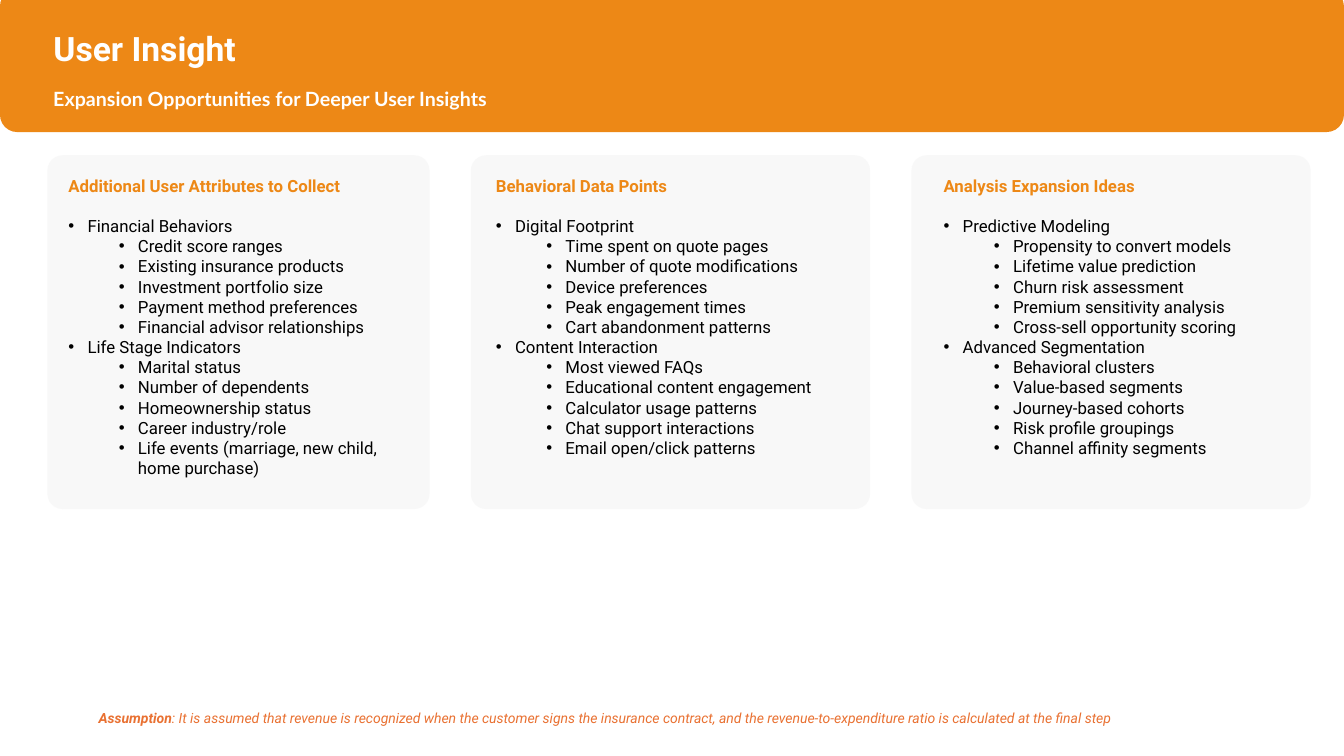
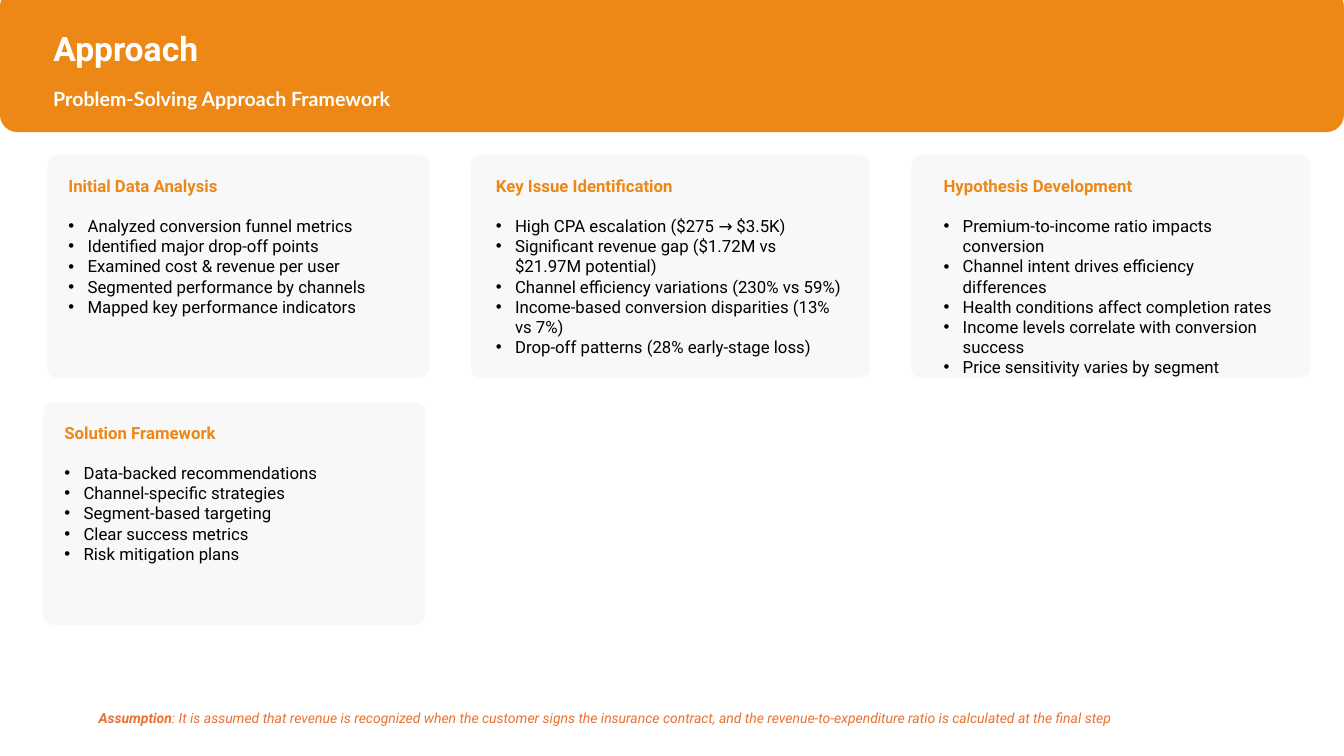
from pptx import Presentation
from pptx.dml.color import RGBColor
from pptx.enum.shapes import MSO_SHAPE
from pptx.enum.text import MSO_ANCHOR, MSO_AUTO_SIZE, PP_ALIGN
from pptx.oxml.ns import qn
from pptx.util import Inches, Pt
from lxml.etree import SubElement

COLORS = {"brand": "ED8816", "note": "E97132", "card": "F2F2F2",
          "body": "000000", "light": "FFFFFF"}
WIDTH, HEIGHT = 13.33, 7.5
TITLE_LEFT = 0.43

# Each column: card left, card width, text inset, text width
COLUMNS = [(0.47, 3.79, 0.11, 3.52), (4.67, 3.96, 0.15, 3.66), (9.04, 3.96, 0.22, 3.52)]
CARD_TOP, ROW_PITCH, TEXT_DROP = 1.54, 2.45, 0.15
LOWER_ROW_SHIFT = -0.04
HANGING, LEVEL_STEP = 0.19, 0.5

NOTE = [("Assumption", True),
        (": It is assumed that revenue is recognized when the customer signs the insurance "
         "contract, and the revenue-to-expenditure ratio is calculated at the final step", False)]

# A card is a heading and its bullets; a tuple holds a bullet's sub-bullets
SLIDES = [
    {"title": "User Insight",
     "subtitle": "Expansion Opportunities for Deeper User Insights",
     "card_height": 3.51,
     "cards": [
         ("Additional User Attributes to Collect", [
             "Financial Behaviors",
             ("Credit score ranges", "Existing insurance products", "Investment portfolio size",
              "Payment method preferences", "Financial advisor relationships"),
             "Life Stage Indicators",
             ("Marital status", "Number of dependents", "Homeownership status",
              "Career industry/role", "Life events (marriage, new child, home purchase)")]),
         ("Behavioral Data Points", [
             "Digital Footprint",
             ("Time spent on quote pages", "Number of quote modifications",
              "Device preferences", "Peak engagement times", "Cart abandonment patterns"),
             "Content Interaction",
             ("Most viewed FAQs", "Educational content engagement",
              "Calculator usage patterns", "Chat support interactions",
              "Email open/click patterns")]),
         ("Analysis Expansion Ideas", [
             "Predictive Modeling",
             ("Propensity to convert models", "Lifetime value prediction",
              "Churn risk assessment", "Premium sensitivity analysis",
              "Cross-sell opportunity scoring"),
             "Advanced Segmentation",
             ("Behavioral clusters", "Value-based segments", "Journey-based cohorts",
              "Risk profile groupings", "Channel affinity segments")]),
     ]},
    {"title": "Approach",
     "subtitle": "Problem-Solving Approach Framework",
     "card_height": 2.21,
     "cards": [
         ("Initial Data Analysis", [
             "Analyzed conversion funnel metrics", "Identified major drop-off points",
             "Examined cost & revenue per user", "Segmented performance by channels",
             "Mapped key performance indicators"]),
         ("Key Issue Identification", [
             "High CPA escalation ($275 → $3.5K)",
             "Significant revenue gap ($1.72M vs $21.97M potential)",
             "Channel efficiency variations (230% vs 59%)",
             "Income-based conversion disparities (13% vs 7%)",
             "Drop-off patterns (28% early-stage loss)"]),
         ("Hypothesis Development", [
             "Premium-to-income ratio impacts conversion",
             "Channel intent drives efficiency differences",
             "Health conditions affect completion rates",
             "Income levels correlate with conversion success",
             "Price sensitivity varies by segment"]),
         ("Solution Framework", [
             "Data-backed recommendations", "Channel-specific strategies",
             "Segment-based targeting", "Clear success metrics", "Risk mitigation plans"]),
     ]},
]


def style(span, size, color, font="Roboto", bold=False, italic=False):
    span.font.name, span.font.size = font, Pt(size)
    span.font.bold, span.font.italic = bold, italic
    span.font.color.rgb = RGBColor.from_string(COLORS[color])


def add_panel(page, left, top, width, height, color, rounding, opacity=None):
    panel = page.shapes.add_shape(MSO_SHAPE.ROUNDED_RECTANGLE, Inches(left), Inches(top),
                                  Inches(width), Inches(height))
    panel.adjustments[0] = rounding
    panel.shadow.inherit = False
    panel.line.fill.background()
    panel.fill.solid()
    panel.fill.fore_color.rgb = RGBColor.from_string(COLORS[color])
    if opacity is not None:
        rgb = panel.element.spPr.find(qn("a:solidFill")).find(qn("a:srgbClr"))
        SubElement(rgb, qn("a:alpha"), val=str(int(opacity * 100000)))
    return panel


def add_text_box(page, left, top, width, height):
    box = page.shapes.add_textbox(Inches(left), Inches(top), Inches(width), Inches(height))
    box.text_frame.word_wrap = True
    return box.text_frame


def add_bullet(frame, text, level):
    para = frame.add_paragraph()
    para.text = text
    para.level = level
    style(para.runs[0], 12, "body")
    properties = para._p.get_or_add_pPr()
    properties.set("marL", str(Inches(HANGING + level * LEVEL_STEP)))
    properties.set("indent", str(-Inches(HANGING)))
    SubElement(properties, qn("a:buFont"), typeface="Arial")
    SubElement(properties, qn("a:buChar"), char="•")


def add_card(page, index, height, heading, bullets):
    row, column = divmod(index, len(COLUMNS))
    left, width, inset, text_width = COLUMNS[column]
    left += row * LOWER_ROW_SHIFT
    top = CARD_TOP + row * ROW_PITCH
    add_panel(page, left, top, width, height, "card", 0.043, opacity=0.5)
    frame = add_text_box(page, left + inset, top + TEXT_DROP, text_width,
                         height - 2 * TEXT_DROP)
    para = frame.paragraphs[0]
    para.text = heading
    para.space_after = Pt(14.5)
    style(para.runs[0], 12, "brand", bold=True)
    for bullet in bullets:
        if isinstance(bullet, tuple):
            for text in bullet:
                add_bullet(frame, text, 1)
        else:
            add_bullet(frame, bullet, 0)


def add_header(page, title_text, subtitle):
    title = page.shapes.title
    band = add_panel(page, 0, -0.11, WIDTH, 1.42, "brand", 0.121)
    title.element.addprevious(band.element)

    title.left, title.top = Inches(TITLE_LEFT), Inches(0.04)
    title.width, title.height = Inches(6.96), Inches(0.92)
    frame = title.text_frame
    frame.text = title_text
    frame.auto_size = MSO_AUTO_SIZE.NONE
    frame.vertical_anchor = MSO_ANCHOR.MIDDLE
    para = frame.paragraphs[0]
    para.alignment, para.line_spacing = PP_ALIGN.LEFT, 0.9
    style(para.runs[0], 24, "light", bold=True)

    frame = add_text_box(page, TITLE_LEFT, 0.81, 6.66, 0.34)
    frame.text = subtitle
    style(frame.paragraphs[0].runs[0], 14, "light", font="Lato", bold=True)


def add_note(page):
    para = add_text_box(page, 0.88, 6.99, 11.33, 0.27).paragraphs[0]
    for text, bold in NOTE:
        span = para.add_run()
        span.text = text
        style(span, 10, "note", bold=bold, italic=True)


def main():
    deck = Presentation()
    deck.slide_width, deck.slide_height = Inches(WIDTH), Inches(HEIGHT)
    title_only = deck.slide_layouts.get_by_name("Title Only")
    for content in SLIDES:
        page = deck.slides.add_slide(title_only)
        add_header(page, content["title"], content["subtitle"])
        for index, (heading, bullets) in enumerate(content["cards"]):
            add_card(page, index, content["card_height"], heading, bullets)
        add_note(page)
    deck.save("out.pptx")


if __name__ == "__main__":
    main()
